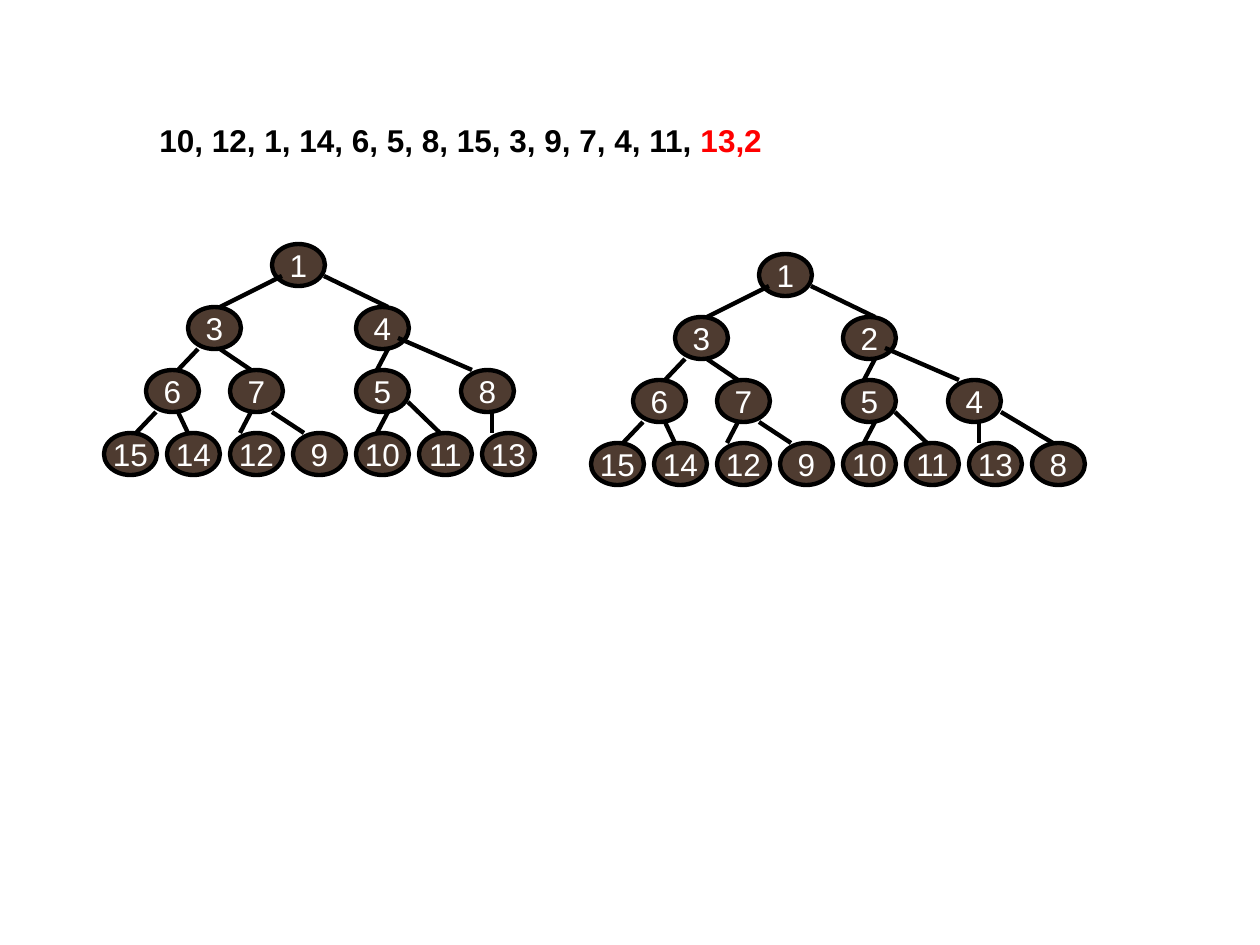
from lxml import etree
from pptx import Presentation
from pptx.dml.color import RGBColor
from pptx.enum.shapes import MSO_CONNECTOR, MSO_SHAPE
from pptx.enum.text import MSO_ANCHOR, PP_ALIGN
from pptx.oxml.ns import qn
from pptx.util import Pt

OVAL = MSO_SHAPE.OVAL
STRAIGHT = MSO_CONNECTOR.STRAIGHT
MIDDLE = MSO_ANCHOR.MIDDLE
CENTER = PP_ALIGN.CENTER
PX = 914400 // 126
COLORS = {"node": "4E3B30", "line": "000000", "label": "FFFFFF",
          "text": "000000", "new": "FF0000"}
NODE_W, NODE_H = 53, 42
LEVEL = 63


def color(name):
    return RGBColor.from_string(COLORS[name])


def add_run(p, text, name, bold=False):
    r = p.add_run()
    r.text = text
    r.font.name = "Arial"
    r.font.size = Pt(18)
    r.font.bold = bold
    r.font.color.rgb = color(name)


prs = Presentation()
prs.slide_width = 1260 * PX
prs.slide_height = 945 * PX
s = prs.slides.add_slide(prs.slide_layouts[6])

node_lefts = [168, 84, 252, 42, 126, 252, 357] + [63 * i for i in range(8)]
edges = [
    None,
    (178, 32, 116, 63), (220, 32, 284, 63),
    (94, 105, 74, 126), (116, 105, 147, 126),
    (284, 105, 273, 126), (294, 94, 368, 126),
    (52, 168, 32, 189), (74, 168, 84, 189),
    (147, 168, 136, 189), (168, 168, 200, 189),
    (284, 168, 273, 189), (304, 158, 336, 189),
    (388, 168, 388, 189), (410, 158, 462, 189),
]
heaps = [
    (104, 244, [1, 3, 4, 6, 7, 5, 8, 15, 14, 12, 9, 10, 11, 13]),
    (591, 254, [1, 3, 2, 6, 7, 5, 4, 15, 14, 12, 9, 10, 11, 13, 8]),
]

for left, top, keys in heaps:
    tree = s.shapes.add_group_shape()
    for i, (key, x, edge) in enumerate(zip(keys, node_lefts, edges)):
        depth = (i + 1).bit_length() - 1
        sp = tree.shapes.add_shape(OVAL, (left + x) * PX, (top + depth * LEVEL) * PX,
                                   NODE_W * PX, NODE_H * PX)
        sp.shadow.inherit = False
        sp.fill.solid()
        sp.fill.fore_color.rgb = color("node")
        sp.line.color.rgb = color("line")
        sp.line.width = Pt(2.5)
        tf = sp.text_frame
        tf.word_wrap = False
        tf.vertical_anchor = MIDDLE
        p = tf.paragraphs[0]
        p.alignment = CENTER
        add_run(p, str(key), "label")
        if edge:
            x1, y1, x2, y2 = edge
            cn = tree.shapes.add_connector(STRAIGHT, (left + x1) * PX, (top + y1) * PX,
                                           (left + x2) * PX, (top + y2) * PX)
            cn.line.color.rgb = color("line")
            cn.line.width = Pt(2.5)
            etree.SubElement(cn._element.spPr, qn("a:effectLst"))

tf = s.shapes.add_textbox(147 * PX, 115 * PX, 629 * PX, 88 * PX).text_frame
tf.word_wrap = False
p = tf.paragraphs[0]
add_run(p, "10, 12, 1, 14, 6, 5, 8, 15, 3, 9, 7, 4, 11, ", "text", True)
add_run(p, "13,2", "new", True)

prs.save("out.pptx")
